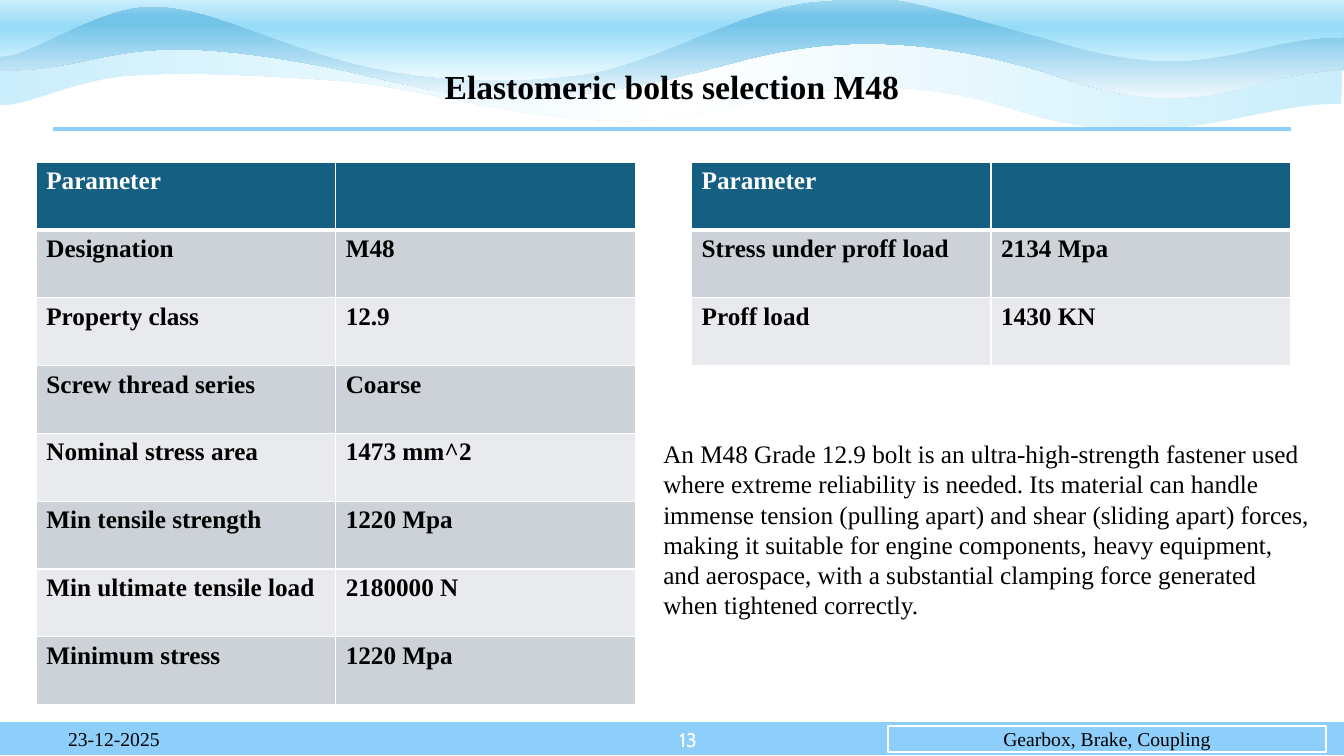
from lxml import etree
from pptx import Presentation
from pptx import util as u
from pptx.dml.color import RGBColor
from pptx.enum import shapes, text
from pptx.oxml import parse_xml
from pptx.oxml.ns import nsdecls, qn

BLACK = RGBColor(0x00, 0x00, 0x00)
WHITE = RGBColor(0xFF, 0xFF, 0xFF)
SKY = RGBColor(0x8E, 0xCE, 0xFA)
TEAL = RGBColor(0x15, 0x60, 0x82)
ROW_DARK = RGBColor(0xCC, 0xD2, 0xD8)
ROW_LIGHT = RGBColor(0xE8, 0xEA, 0xED)
ICE = RGBColor(0xCA, 0xEE, 0xFB)
LAKE = RGBColor(0x74, 0xC4, 0xE9)
MIST = RGBColor(0xF0, 0xF8, 0xFD)
HAZE = RGBColor(0xA2, 0xD8, 0xF0)
AQUA = RGBColor(0x96, 0xDC, 0xF8)
FROST = RGBColor(0xEF, 0xFC, 0xFF)

SERIF = "Times New Roman"
ROW_HEIGHT = 5.38 / 8

# Each wave: height, gradient angle, gradient stops, outline.
# Outline entries of two numbers are corners, of six are cubic curves.
WAVES = [
    (0.98, 0, [(0, ICE), (50, WHITE), (100, ICE)], [
        (13.3, 1.03), (12.37, 1.02, 11.52, 1.59, 9.99, 1.06),
        (8.27, 0.54, 7.21, 1.24, 6.1, 1.2), (4.99, 1.16, 4.21, 0.87, 3.35, 0.8),
        (2.49, 0.74, 1.83, 0.71, 1.27, 0.75), (0.71, 0.79, 0.14, 1.11, -0.02, 1.03),
        (-0.02, 0.8, -0.04, 0.53, -0.04, 0.3), (3.13, 0.31), (6.52, 0.34),
        (9.41, 0.32), (13.32, 0.34), (13.32, 0.55, 13.32, 0.8, 13.3, 1.03)]),
    (0.98, 90, [(0, HAZE), (17, LAKE), (26, LAKE), (100, MIST)], [
        (13.32, 0.7), (12.39, 0.7, 11.96, 1.28, 10.44, 0.74),
        (8.71, 0.2, 7.73, 0.5, 7.06, 0.68), (5.28, 1.14, 4.59, 0.98, 3.46, 0.71),
        (1.13, 0.22, 1.15, 0.7, 0, 0.7), (0, 0.47, 0.01, 0.24, 0.01, 0),
        (3.13, 0.01), (6.54, -0.01), (9.46, 0), (13.33, 0.04),
        (13.33, 0.26, 13.34, 0.47, 13.32, 0.7)]),
    (1.06, 90, [(0, WHITE), (50, AQUA), (100, FROST)], [
        (13.32, 0.37), (12.39, 0.36, 11.96, 0.88, 10.44, 0.4),
        (8.72, -0.08, 8.91, -0.05, 8.13, 0.01), (7.35, 0.06, 6.53, 0.64, 5.76, 0.74),
        (4.98, 0.84, 4.24, 0.81, 3.47, 0.62), (2.58, 0.38, 2.07, 0.06, 1.5, 0.06),
        (0.92, 0.06, 0.22, 0.63, -0.03, 0.55), (-0.02, 0.34, 0.01, -0.04, 0.01, -0.25),
        (3.13, -0.24), (6.54, -0.26), (9.46, -0.25), (13.33, -0.22),
        (13.33, -0.03, 13.34, 0.16, 13.32, 0.37)]),
]

BOLT_ROWS = [
    ("Parameter", ""),
    ("Designation", "M48"),
    ("Property class", "12.9"),
    ("Screw thread series", "Coarse"),
    ("Nominal stress area", "1473 mm^2"),
    ("Min tensile strength", "1220 Mpa"),
    ("Min ultimate tensile load", "2180000 N"),
    ("Minimum stress", "1220 Mpa"),
]
PROOF_ROWS = [
    ("Parameter", ""),
    ("Stress under proff load", "2134 Mpa"),
    ("Proff load", "1430 KN"),
]
DESCRIPTION = (
    "An M48 Grade 12.9 bolt is an ultra-high-strength fastener used where extreme "
    "reliability is needed. Its material can handle immense tension (pulling apart) "
    "and shear (sliding apart) forces, making it suitable for engine components, "
    "heavy equipment, and aerospace, with a substantial clamping force generated "
    "when tightened correctly."
)


def inches(values):
    return [u.Inches(value) for value in values]


def write(frame, words, color=BLACK, align=text.PP_ALIGN.LEFT,
          anchor=text.MSO_ANCHOR.MIDDLE, **font):
    frame.word_wrap = True
    frame.vertical_anchor = anchor
    paragraph = frame.paragraphs[0]
    paragraph.alignment = align
    run = paragraph.add_run()
    run.text = words
    run.font.color.rgb = color
    for key, value in {"name": SERIF, "size": u.Pt(18), **font}.items():
        setattr(run.font, key, value)
    return paragraph


def bend_outline(wave, height, segments):
    """Turn straight segments into cubic curves and fit the frame to them."""
    outline = wave._element.spPr.find(".//" + qn("a:path"))
    for line, segment in zip(outline.findall(qn("a:lnTo")), segments):
        if len(segment) == 2:
            continue
        line.tag = qn("a:cubicBezTo")
        line.clear()
        for x, y in zip(segment[::2], segment[1::2]):
            etree.SubElement(line, qn("a:pt"), x=str(u.Inches(x) - wave.left),
                             y=str(u.Inches(y) - wave.top))
    wave.height = u.Inches(height)
    outline.set("h", str(wave.height))


def add_wave(slide, height, angle, stops, outline):
    start, *corners = [inches(segment[-2:]) for segment in outline]
    builder = slide.shapes.build_freeform(*start)
    builder.add_line_segments(corners, close=True)
    wave = builder.convert_to_shape()
    bend_outline(wave, height, outline[1:])
    wave.shadow.inherit = False
    wave.line.fill.background()
    stop_xml = "".join(
        f'<a:gs pos="{position * 1000}"><a:srgbClr val="{color}"/></a:gs>'
        for position, color in stops)
    gradient = parse_xml(
        f'<a:gradFill {nsdecls("a")}><a:gsLst>{stop_xml}</a:gsLst>'
        f'<a:lin ang="{angle * 60000}" scaled="0"/></a:gradFill>')
    wave._element.spPr.find(qn("a:custGeom")).addnext(gradient)


def add_bar(slide, *place):
    bar = slide.shapes.add_shape(shapes.MSO_SHAPE.RECTANGLE, *inches(place))
    bar.shadow.inherit = False
    bar.fill.solid()
    bar.fill.fore_color.rgb = SKY
    bar.line.color.rgb = WHITE
    bar.line.width = u.Pt(1.5)
    return bar


def add_rule(slide, *ends):
    rule = slide.shapes.add_connector(shapes.MSO_CONNECTOR.STRAIGHT, *inches(ends))
    rule.line.color.rgb = SKY
    rule.line.width = u.Pt(3)
    etree.SubElement(rule._element.spPr, qn("a:effectLst"))


def add_label(slide, place, words, **style):
    label = slide.shapes.add_textbox(*inches(place))
    write(label.text_frame, words, **style)
    return label


def add_title(slide, words):
    title = slide.shapes.title
    title.left, title.top, title.width, title.height = inches((0.65, 0.15, 11.5, 1.45))
    title.text_frame.margin_left = u.Inches(3.76)
    write(title.text_frame, words, size=u.Pt(24), bold=True).line_spacing = 0.9
    slide.shapes._spTree.append(title._element)  # in front of the waves


def border_cell(cell, bottom):
    properties = cell._tc.get_or_add_tcPr()
    widths = {"lnL": 1, "lnR": 1, "lnT": 1, "lnB": bottom}
    for index, (side, width) in enumerate(widths.items()):
        properties.insert(index, parse_xml(
            f'<a:{side} {nsdecls("a")} w="{u.Pt(width)}"><a:solidFill>'
            f'<a:srgbClr val="{WHITE}"/></a:solidFill></a:{side}>'))


def add_parameters(slide, left, rows):
    place = inches((left, 1.61, 5.94, ROW_HEIGHT * len(rows)))
    table = slide.shapes.add_table(len(rows), 2, *place).table
    for r, row in enumerate(rows):
        for c, words in enumerate(row):
            cell = table.cell(r, c)
            cell.fill.solid()
            cell.fill.fore_color.rgb = (
                TEAL if r == 0 else ROW_DARK if r % 2 else ROW_LIGHT)
            border_cell(cell, 3 if r == 0 else 1)
            if words:
                write(cell.text_frame, words, WHITE if r == 0 else BLACK,
                      anchor=text.MSO_ANCHOR.TOP, bold=True)


def main():
    deck = Presentation()
    deck.slide_width, deck.slide_height = inches((13.33, 7.5))
    slide = deck.slides.add_slide(deck.slide_layouts[5])
    for wave in WAVES:
        add_wave(slide, *wave)
    add_bar(slide, -0.01, 7.15, 13.35, 0.35)
    add_rule(slide, 0.53, 1.28, 12.8, 1.28)
    add_title(slide, "Elastomeric bolts selection M48")

    footer = {"size": u.Pt(14), "align": text.PP_ALIGN.CENTER}
    add_label(slide, (6.4, 7.16, 0.61, 0.35), "13", color=WHITE,
              **{**footer, "name": "Cabin", "align": text.PP_ALIGN.RIGHT})
    topic = add_bar(slide, 8.81, 7.2, 4.34, 0.26)
    write(topic.text_frame, "Gearbox, Brake, Coupling", **footer)
    add_label(slide, (-1.93, 7.13, 6.12, 0.4), "23-12-2025", **footer)

    add_parameters(slide, 0.36, BOLT_ROWS)
    add_parameters(slide, 6.86, PROOF_ROWS)
    description = add_label(slide, (6.48, 4.3, 6.65, 2.22), DESCRIPTION,
                            anchor=text.MSO_ANCHOR.TOP)
    description.text_frame.auto_size = text.MSO_AUTO_SIZE.SHAPE_TO_FIT_TEXT
    deck.save("out.pptx")


if __name__ == "__main__":
    main()
